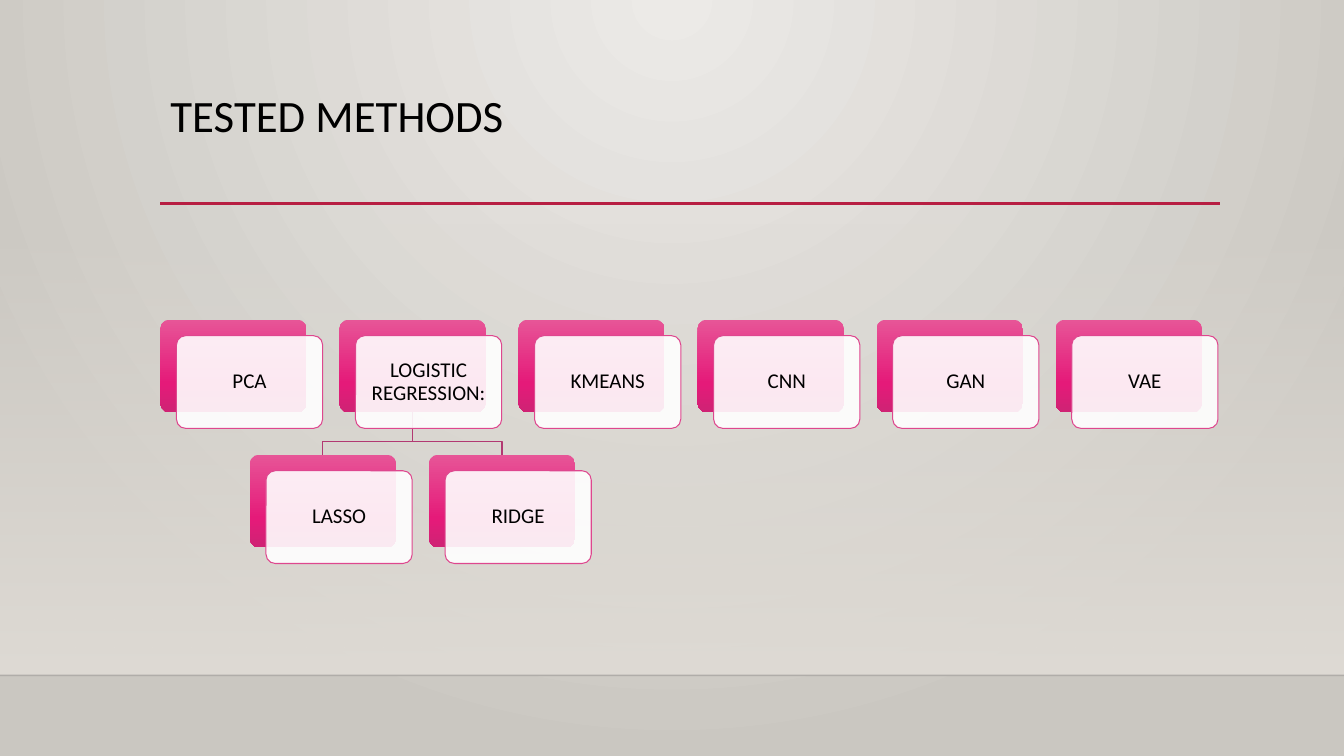
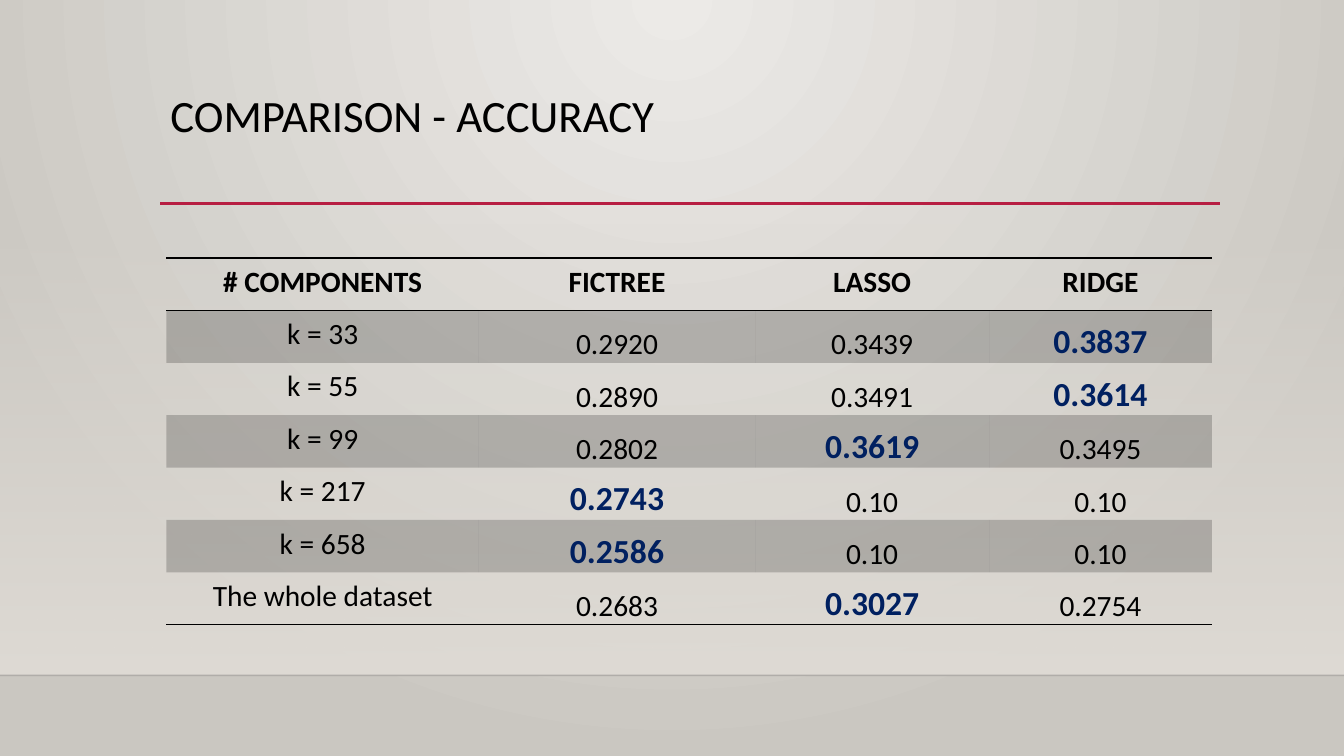
"""Build two slides: an overview of tested methods and a table of their accuracy."""

from dataclasses import dataclass

from lxml.etree import SubElement
from pptx import Presentation
from pptx.dml.color import RGBColor
from pptx.enum.shapes import MSO_CONNECTOR, MSO_SHAPE
from pptx.enum.text import MSO_ANCHOR, MSO_AUTO_SIZE, PP_ALIGN
from pptx.oxml import parse_xml
from pptx.oxml.ns import nsdecls, qn
from pptx.util import Inches, Pt


@dataclass(frozen=True)
class Theme:
    font: str = "Calibri"
    text: str = "000000"
    highlight: str = "002060"
    accent: str = "B71E42"
    floor: str = "000001"
    branch: str = "B23972"
    card: str = "FFFFFF"
    card_line: str = "DE478E"
    background: tuple = ((0, "ECEAE7", 100), (100, "CAC7C1", 100))
    wall: tuple = ((0, "DFDBD5", 0), (100, "DFDBD5", 100))
    plate: tuple = ((0, "E75597", 100), (69, "E51A79", 100), (100, "CF2374", 100))
    title_size: int = 32
    card_size: int = 15
    table_size: int = 21
    highlight_size: int = 24


theme = Theme()
DOWNWARD = '<a:lin ang="5400000" scaled="0"/>'
FROM_TOP = ('<a:path path="circle"><a:fillToRect l="43000" t="0" r="43000" '
            'b="100000"/></a:path>')


def apply_gradient(owner, fill, stops, shade):
    fill.gradient()
    plain = next(owner.element.iter(qn("a:gradFill")))
    stop_list = "".join(
        f'<a:gs pos="{position * 1000}"><a:srgbClr val="{color}">'
        f'<a:alpha val="{alpha * 1000}"/></a:srgbClr></a:gs>'
        for position, color, alpha in stops)
    plain.getparent().replace(plain, parse_xml(
        f'<a:gradFill {nsdecls("a")} rotWithShape="1"><a:gsLst>{stop_list}'
        f'</a:gsLst>{shade}</a:gradFill>'))


def write_text(text_frame, text, size, color=theme.text, bold=False,
               **paragraph_format):
    text_frame.text = text
    paragraph = text_frame.paragraphs[0]
    for name, value in paragraph_format.items():
        setattr(paragraph, name, value)
    font = paragraph.runs[0].font
    for name, value in {"name": theme.font, "size": Pt(size), "bold": bold}.items():
        setattr(font, name, value)
    font.color.rgb = RGBColor.from_string(color)


presentation = Presentation()
presentation.slide_width = Inches(13.33)
presentation.slide_height = Inches(7.5)
layout = presentation.slide_layouts[5]
see_through = []

for placeholder in list(layout.placeholders):
    if placeholder.placeholder_format.idx != 0:
        placeholder.element.getparent().remove(placeholder.element)
    else:
        for name, value in {"left": 1.59, "top": 0.88, "width": 10.5,
                            "height": 1.15}.items():
            setattr(placeholder, name, Inches(value))
apply_gradient(layout, layout.background.fill, theme.background, FROM_TOP)

slides = []
for title in ("TESTED METHODS", "COMPARISON - ACCURACY"):
    slide = presentation.slides.add_slide(layout)
    frame = slide.shapes.title.text_frame
    for name, value in {"vertical_anchor": MSO_ANCHOR.TOP, "word_wrap": True,
                        "auto_size": MSO_AUTO_SIZE.NONE}.items():
        setattr(frame, name, value)
    write_text(frame, title, theme.title_size, alignment=PP_ALIGN.LEFT,
               line_spacing=0.9)
    slides.append(slide)
methods_slide, accuracy_slide = slides
shapes = methods_slide.shapes

wall = shapes.add_shape(MSO_SHAPE.RECTANGLE, 0, Inches(2.21), Inches(13.33), Inches(4.49))
wall.shadow.inherit = False
wall.line.fill.background()
apply_gradient(wall, wall.fill, theme.wall, DOWNWARD)
decorations = [wall]
for left, right, top, color, width in ((0, 13.33, 6.7, theme.floor, 1),
                                       (1.59, 12.1, 2.02, theme.accent, 2.5)):
    rule = shapes.add_connector(MSO_CONNECTOR.STRAIGHT, Inches(left), Inches(top),
                                Inches(right), Inches(top))
    rule.line.color.rgb = RGBColor.from_string(color)
    rule.line.width = Pt(width)
    SubElement(rule.element.spPr, qn("a:effectLst"))
    decorations.append(rule)
see_through.append((decorations[1].element, 20))
for position, decoration in enumerate(decorations, start=2):
    layout.shapes.element.insert(position, decoration.element)

first_left, last_left = 1.59, 10.47
pitch = (last_left - first_left) / 5
method_top, variant_top = 3.17, 4.51
card_width, card_height, card_shift = 1.45, 0.92, 0.16
methods = ("PCA", "LOGISTIC REGRESSION:", "KMEANS", "CNN", "GAN", "VAE")
variants = ("LASSO", "RIDGE")
places = [(name, first_left + index * pitch, method_top)
          for index, name in enumerate(methods)]
places += [(name, first_left + (index + 0.5) * pitch, variant_top)
           for index, name in enumerate(variants)]

parent_center = first_left + pitch + card_width / 2 
parent_bottom = method_top + card_height
for side in (-0.5, 0.5):
    corners = [(parent_center, parent_bottom), (parent_center, 4.38),
               (parent_center + side * pitch, 4.38),
               (parent_center + side * pitch, variant_top)]
    points = [(Inches(x), Inches(y)) for x, y in corners]
    builder = shapes.build_freeform(*points[0])
    builder.add_line_segments(points[1:], close=False)
    branch = builder.convert_to_shape()
    branch.shadow.inherit = False
    branch.fill.background()
    branch.line.color.rgb = RGBColor.from_string(theme.branch)
    branch.line.width = Pt(0.75)

for name, left, top in places:
    plate, card = [
        shapes.add_shape(MSO_SHAPE.ROUNDED_RECTANGLE, Inches(left + shift),
                         Inches(top + shift), Inches(card_width), Inches(card_height))
        for shift in (0, card_shift)]
    for shape in (plate, card):
        shape.adjustments[0] = 0.1
        shape.shadow.inherit = False
    apply_gradient(plate, plate.fill, theme.plate, DOWNWARD)
    plate.line.fill.background()
    card.fill.solid()
    card.fill.fore_color.rgb = RGBColor.from_string(theme.card)
    card.line.color.rgb = RGBColor.from_string(theme.card_line)
    card.line.width = Pt(0.75)
    see_through.append((card.element, 90))
    for side in ("left", "top", "right", "bottom"):
        setattr(card.text_frame, f"margin_{side}", Inches(0.06))
    card.text_frame.word_wrap = True
    card.text_frame.vertical_anchor = MSO_ANCHOR.MIDDLE
    write_text(card.text_frame, name, theme.card_size, alignment=PP_ALIGN.CENTER,
               line_spacing=0.9)

rows = (
    ("# COMPONENTS", "FICTREE", "LASSO", "RIDGE"),
    ("k = 33", "0.2920", "0.3439", "0.3837"),
    ("k = 55", "0.2890", "0.3491", "0.3614"),
    ("k = 99", "0.2802", "0.3619", "0.3495"),
    ("k = 217", "0.2743", "0.10", "0.10"),
    ("k = 658", "0.2586", "0.10", "0.10"),
    ("The whole dataset", "0.2683", "0.3027", "0.2754"),
)
table_shape = accuracy_slide.shapes.add_table(
    len(rows), len(rows[0]), Inches(1.65), Inches(2.56), Inches(10.37), Inches(3.64))
table = table_shape.table
table.first_row = table.horz_banding = False
style = next(table_shape.element.iter(qn("a:tableStyleId")))
style.text = "{2D5ABB26-0587-4C30-8999-92F81FD0307C}"
for column, width in zip(table.columns, (3.1, 2.74, 2.32, 2.21)):
    column.width = Inches(width)

label_format = {"margin_left": Inches(0.12), "margin_right": Inches(0.12),
                "margin_top": Inches(0.06), "margin_bottom": Inches(0.06),
                "vertical_anchor": MSO_ANCHOR.TOP}
value_format = {"margin_left": Inches(0.01), "margin_right": Inches(0.01),
                "margin_top": Inches(0.01), "margin_bottom": 0,
                "vertical_anchor": MSO_ANCHOR.BOTTOM}
borders = {0: ("lnB", "lnT"), len(rows) - 1: ("lnB",)}
for row_index, row in enumerate(rows):
    for column_index, text in enumerate(row):
        cell = table.cell(row_index, column_index)
        is_header = row_index == 0
        is_value = not is_header and column_index > 0
        for name, value in (value_format if is_value else label_format).items():
            setattr(cell, name, value)
        if is_value and text == max(row[1:]):
            write_text(cell.text_frame, text, theme.highlight_size, theme.highlight,
                       True, alignment=PP_ALIGN.CENTER)
        else:
            write_text(cell.text_frame, text, theme.table_size, bold=is_header,
                       alignment=PP_ALIGN.CENTER)
        properties = cell._tc.get_or_add_tcPr()
        if row_index % 2:
            cell.fill.solid()
            cell.fill.fore_color.rgb = RGBColor.from_string(theme.text)
            see_through.append((properties, 20))
        else:
            cell.fill.background()
        for edge in borders.get(row_index, ()):
            properties.insert(0, parse_xml(
                f'<a:{edge} {nsdecls("a")} w="12700"><a:solidFill>'
                f'<a:srgbClr val="{theme.text}"/></a:solidFill></a:{edge}>'))

for element, percent in see_through:
    color = next(element.iter(qn("a:srgbClr")))
    SubElement(color, qn("a:alpha"), val=str(percent * 1000))

presentation.save("out.pptx")
